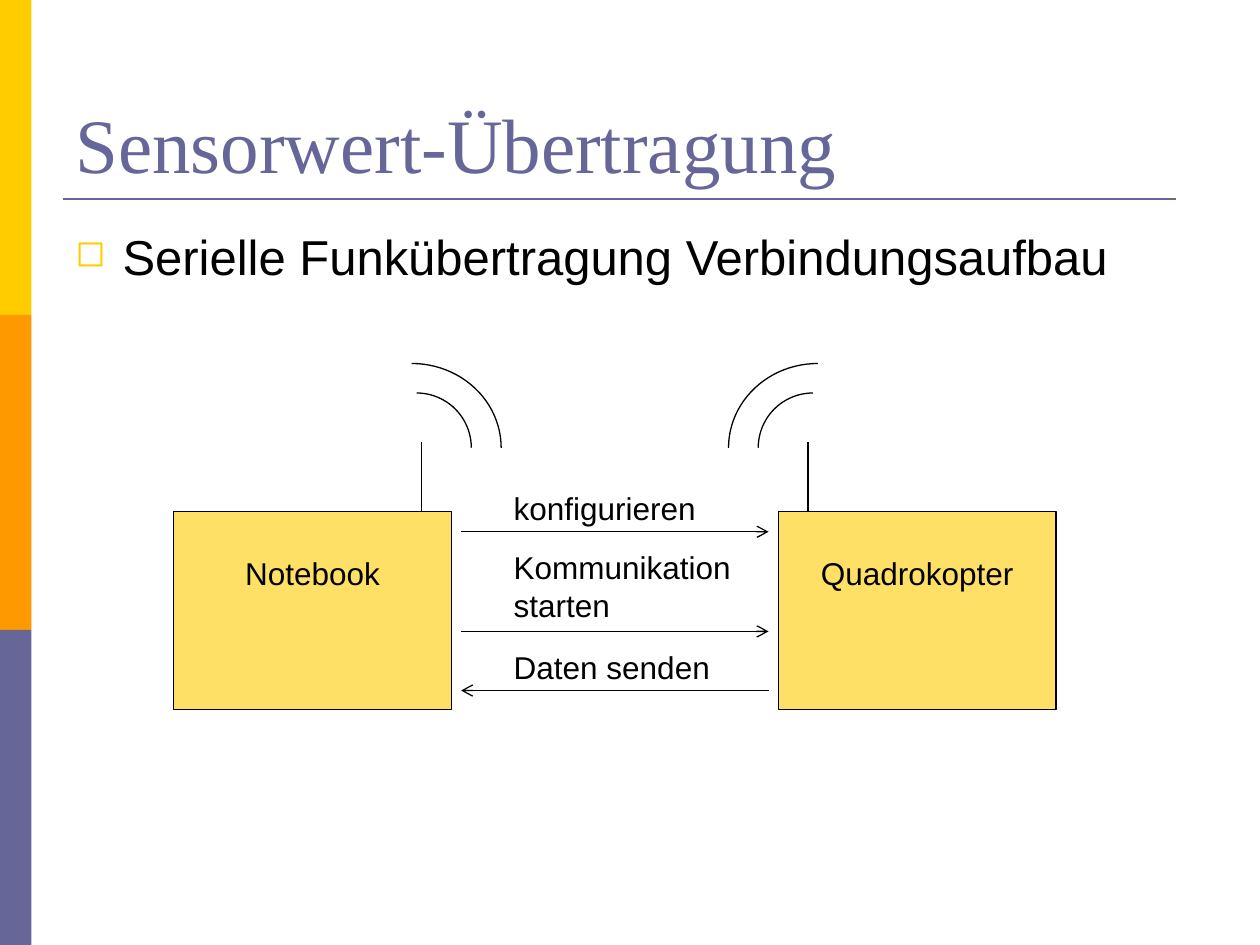
from lxml import etree
from pptx import Presentation
from pptx.dml.color import RGBColor
from pptx.enum.shapes import MSO_CONNECTOR, MSO_SHAPE
from pptx.enum.text import MSO_ANCHOR, PP_ALIGN
from pptx.oxml.ns import qn
from pptx.util import Pt

STRAIGHT = MSO_CONNECTOR.STRAIGHT
RECTANGLE, ARC = MSO_SHAPE.RECTANGLE, MSO_SHAPE.ARC
TOP, BOTTOM = MSO_ANCHOR.TOP, MSO_ANCHOR.BOTTOM
LEFT, CENTER = PP_ALIGN.LEFT, PP_ALIGN.CENTER

YELLOW = RGBColor(0xFF, 0xCC, 0x00)
ORANGE = RGBColor(0xFF, 0x99, 0x00)
SLATE = RGBColor(0x66, 0x66, 0x99)
SAND = RGBColor(0xFF, 0xE0, 0x66)
BLACK = RGBColor(0x00, 0x00, 0x00)

TITLE_FONT = {"name": "Times New Roman", "size": Pt(44)}
BODY_FONT = {"name": "Arial", "size": Pt(28)}
LABEL_FONT = {"name": "Arial", "size": Pt(18)}


def apply_format(target, values):
    """Set every attribute in values on target."""
    for attribute, value in values.items():
        setattr(target, attribute, value)


def write_text(frame, lines, font, color, align=LEFT, **frame_format):
    """Write lines as paragraphs of one font and colour."""
    apply_format(frame, frame_format)
    for index, line in enumerate(lines):
        paragraph = frame.add_paragraph() if index else frame.paragraphs[0]
        paragraph.alignment = align
        run = paragraph.add_run()
        run.text = line
        apply_format(run.font, font)
        run.font.color.rgb = color


def add_text(slide, box, lines, font, color, **frame_format):
    """Add a text box and return its frame."""
    frame = slide.shapes.add_textbox(*map(Pt, box)).text_frame
    write_text(frame, lines, font, color, **frame_format)
    return frame


def add_plain_shape(slide, kind, box, fill=None, line=None):
    """Add a shadowless shape with optional fill and thin outline."""
    shape = slide.shapes.add_shape(kind, *map(Pt, box))
    shape.shadow.inherit = False
    if fill is None:
        shape.fill.background()
    else:
        shape.fill.solid()
        shape.fill.fore_color.rgb = fill
    if line is None:
        shape.line.fill.background()
    else:
        shape.line.color.rgb = line
        shape.line.width = Pt(0.75)
    return shape


def add_line(slide, ends, color=BLACK, width=0.75, arrow=False):
    """Draw a straight line, with an open arrowhead at its end if asked."""
    line = slide.shapes.add_connector(STRAIGHT, *map(Pt, ends))
    line.line.color.rgb = color
    line.line.width = Pt(width)
    if arrow:
        etree.SubElement(line.line._get_or_add_ln(), qn("a:tailEnd"), type="arrow")
    etree.SubElement(line._element.spPr, qn("a:effectLst"))


def add_sidebar(slide, box):
    """Stack equal colour bands down the box."""
    left, top, width, height = box
    bands = (YELLOW, ORANGE, SLATE)
    step = height / len(bands)
    for index, color in enumerate(bands):
        add_plain_shape(slide, RECTANGLE, (left, top + index * step, width, step), color)


def add_title(slide, box, title):
    """Place the title at the bottom of the box above its rule."""
    left, top, width, height = box
    add_text(slide, box, [title], TITLE_FONT, SLATE,
             word_wrap=True, vertical_anchor=BOTTOM)
    rule = top + height + 2.2
    add_line(slide, (left, rule, left + width - 12, rule), SLATE, 1.5)


def add_bullet(slide, box, statement):
    """Place one bulleted statement in the box."""
    frame = add_text(slide, box, [statement], BODY_FONT, BLACK,
                     word_wrap=True, vertical_anchor=TOP)
    paragraph = frame.paragraphs[0]
    paragraph.space_before = Pt(5.6)
    properties = paragraph._p.get_or_add_pPr()
    apply_indent = {"marL": Pt(27), "indent": Pt(-27)}
    for attribute, value in apply_indent.items():
        properties.set(attribute, str(value))
    color = etree.SubElement(properties, qn("a:buClr"))
    etree.SubElement(color, qn("a:srgbClr"), val=str(YELLOW))
    etree.SubElement(properties, qn("a:buSzPct"), val="75000")
    etree.SubElement(properties, qn("a:buChar"), char="◻")


def add_station(slide, box, label, side):
    """Draw a station whose antenna sends towards side, 1 right or -1 left."""
    left, top, width, height = box
    station = add_plain_shape(slide, RECTANGLE, box, SAND, BLACK)
    write_text(station.text_frame, [label], LABEL_FONT, BLACK, align=CENTER,
               word_wrap=True, vertical_anchor=TOP, margin_top=Pt(24.3))
    inner = left + width if side > 0 else left
    antenna = inner - side * 17
    add_line(slide, (antenna, top, antenna, top - 39.6))
    for inset, radius_x, radius_y in ((22.6, 51.1, 48.2), (19.8, 31.3, 31.3)):
        center_x, center_y = inner - side * inset, top - 36.5
        wave = add_plain_shape(
            slide, ARC,
            (center_x - radius_x, center_y - radius_y, 2 * radius_x, 2 * radius_y),
            line=BLACK)
        if side < 0:
            wave.adjustments[0], wave.adjustments[1] = 108, 162


def add_messages(slide, box):
    """Draw the labelled arrows exchanged between the stations."""
    left, top, width, _ = box
    right = left + width
    messages = (
        (["konfigurieren"], 0, 28.1, 119.5, True),
        (["Kommunikation", "starten"], 33.8, 85, 139.7, True),
        (["Daten senden"], 90.7, 118.8, 127.4, False),
    )
    for lines, label_y, arrow_y, label_width, outgoing in messages:
        start, end = (left, right) if outgoing else (right, left)
        y = top + arrow_y
        add_line(slide, (start, y, end, y), arrow=True)
        label_box = (left + 23, top + label_y, label_width, 7.2 + 21.6 * len(lines))
        add_text(slide, label_box, lines, LABEL_FONT, BLACK, word_wrap=False)


def main():
    """Build the slide and save it."""
    presentation = Presentation()
    apply_format(presentation, {"slide_width": Pt(720), "slide_height": Pt(540)})
    slide = presentation.slides.add_slide(presentation.slide_layouts[6])
    add_sidebar(slide, (0, 0, 18, 540))
    add_title(slide, (36, 21.6, 648, 90), "Sensorwert-Übertragung")
    add_bullet(slide, (36, 126, 648, 59), "Serielle Funkübertragung Verbindungsaufbau")
    add_station(slide, (99.2, 292.4, 158.7, 113.2), "Notebook", 1)
    add_station(slide, (444.8, 292.4, 158.7, 113.2), "Quadrokopter", -1)
    add_messages(slide, (263.5, 275.8, 175.7, 119))
    presentation.save("out.pptx")


if __name__ == "__main__":
    main()
